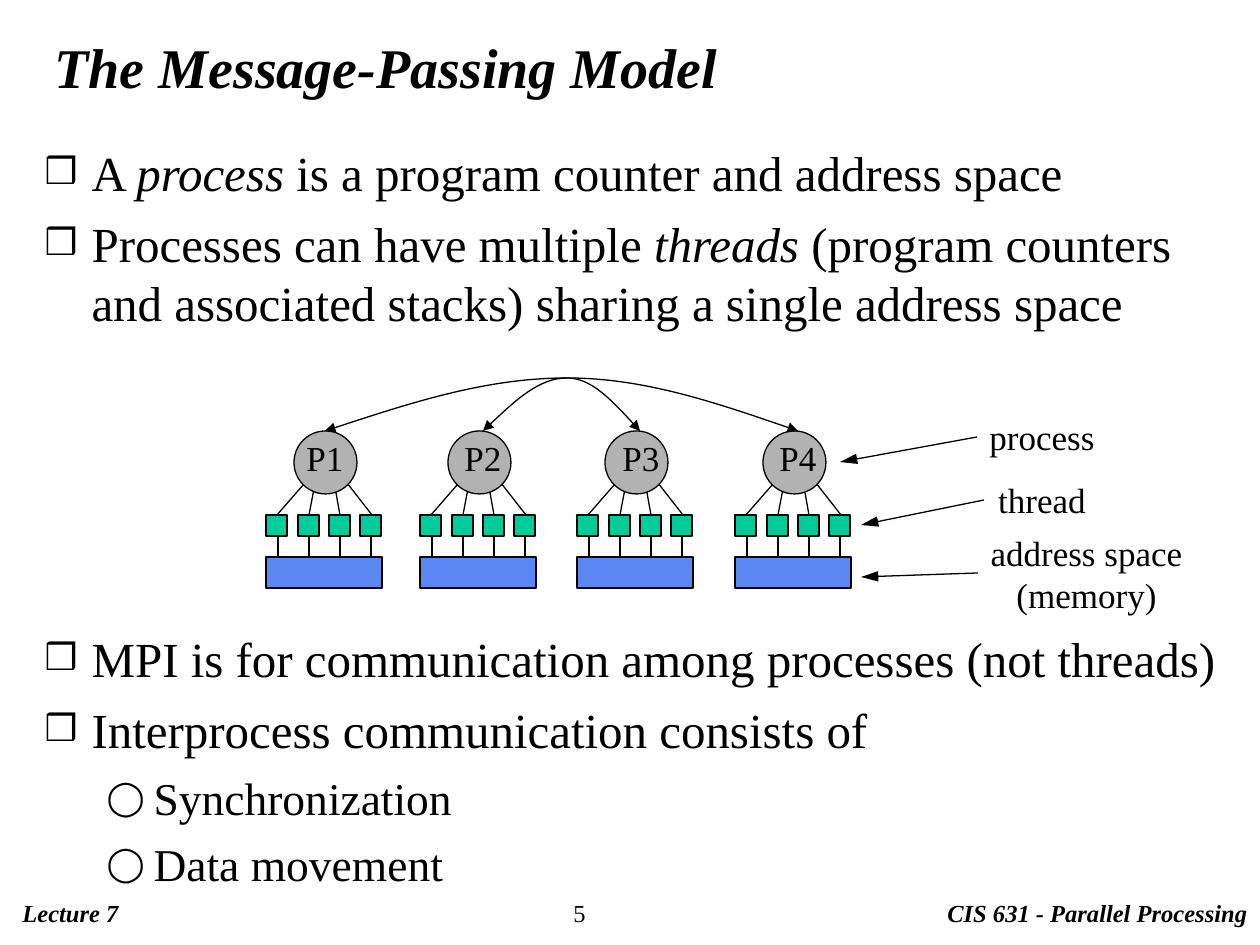
"""Build the slide on the message-passing model."""
from dataclasses import dataclass
from typing import Optional

from lxml import etree
from pptx import Presentation
from pptx.dml.color import RGBColor
from pptx.enum.shapes import MSO_CONNECTOR, MSO_SHAPE
from pptx.enum.text import MSO_ANCHOR, MSO_AUTO_SIZE, PP_ALIGN
from pptx.oxml.ns import qn
from pptx.util import Pt

PX = 914400 / 126
FONT = "Times New Roman"
BLACK, GRAY, GREEN, BLUE = "000000", "B2B2B2", "00CC99", "5B87F2"
STRAIGHT = MSO_CONNECTOR.STRAIGHT
OVAL, RECTANGLE = MSO_SHAPE.OVAL, MSO_SHAPE.RECTANGLE
LEFT, CENTER = PP_ALIGN.LEFT, PP_ALIGN.CENTER
MIDDLE, TOP = MSO_ANCHOR.MIDDLE, MSO_ANCHOR.TOP
NO_AUTOFIT, GROW = MSO_AUTO_SIZE.NONE, MSO_AUTO_SIZE.SHAPE_TO_FIT_TEXT

ARC_TOP, CIRCLE_TOP, THREAD_TOP, MEMORY_TOP = 378, 431, 515, 557
THREAD_SIZE = 21


@dataclass
class Label:
    text: str
    box: tuple[int, int, int, int]
    size: int = 20
    align: PP_ALIGN = CENTER
    bold_italic: bool = False
    wrap: bool = False


@dataclass
class Process:
    name: str
    left: int
    name_left: int


@dataclass
class Arc:
    right: int
    left: int
    middle: int = 567


@dataclass
class Point:
    """A list entry whose odd-numbered pieces are italic."""
    pieces: tuple[str, ...]
    level: int = 0
    space_before: Optional[float] = None


@dataclass
class ListLevel:
    bullet: str
    size: int
    space_before: float
    margin: int
    indent: int


LEVELS = [ListLevel("❒", 28, 7, 47, -47), ListLevel("◯", 26, 6.5, 109, -47)]
POINTS = [
    Point(("A ", "process", " is a program counter and address space")),
    Point(("Processes can have multiple ", "threads",
           " (program counters and associated stacks) sharing a single address space")),
    Point(("MPI is for communication among processes (not threads)",), space_before=170),
    Point(("Interprocess communication consists of",)),
    Point(("Synchronization",), level=1),
    Point(("Data movement",), level=1),
]
PROCESSES = [
    Process("P1", 266, 294),
    Process("P2", 420, 452),
    Process("P3", 577, 610),
    Process("P4", 735, 767),
]
ARCS = [Arc(798, 325), Arc(640, 483)]
LABELS = [
    Label("process", (975, 409, 134, 55)),
    Label("thread", (982, 472, 120, 55)),
    Label("address space\n(memory)", (976, 525, 221, 97)),
    Label("CIS 631 - Parallel Processing", (935, 892, 325, 43), 14, LEFT, True),
    Label("Lecture 7", (10, 892, 925, 43), 14, LEFT, True, True),
    Label("5", (561, 892, 127, 43), 14, LEFT, wrap=True),
]
POINTERS = [
    ((977, 437), (840, 462)),
    ((984, 500), (861, 525)),
    ((978, 573), (861, 577)),
]


def emu(*lengths: float) -> list[int]:
    """Turn px lengths into EMU."""
    return [round(length * PX) for length in lengths]


def color(value: str) -> RGBColor:
    """Turn a hex string into a colour."""
    return RGBColor.from_string(value)


def style_font(font, size: int, bold: bool = False, italic: bool = False) -> None:
    """Apply the slide's typeface in black."""
    font.name, font.size, font.bold, font.italic = FONT, Pt(size), bold, italic
    font.color.rgb = color(BLACK)


def style_line(line) -> None:
    """Give an outline its thin black stroke."""
    line.color.rgb = color(BLACK)
    line.width = Pt(0.75)


def add_arrowheads(line, *ends: str, length: str = "med") -> None:
    """Put a triangle on each named line end."""
    for end in ends:
        etree.SubElement(line._get_or_add_ln(), qn(f"a:{end}"), type="triangle", len=length)


def draw_line(shapes, start: tuple[int, int], end: tuple[int, int]):
    """Draw a straight connector without a shadow."""
    connector = shapes.add_connector(STRAIGHT, *emu(*start, *end))
    style_line(connector.line)
    etree.SubElement(connector._element.spPr, qn("a:effectLst"))
    return connector


def draw_shape(shapes, kind: MSO_SHAPE, box: tuple[int, int, int, int], fill: str) -> None:
    """Draw a filled preset shape."""
    shape = shapes.add_shape(kind, *emu(*box))
    shape.shadow.inherit = False
    shape.fill.solid()
    shape.fill.fore_color.rgb = color(fill)
    style_line(shape.line)


def draw_label(shapes, label: Label) -> None:
    """Write a label in its own text box."""
    frame = shapes.add_textbox(*emu(*label.box)).text_frame
    frame.word_wrap, frame.auto_size = label.wrap, GROW
    if label.align == LEFT:
        frame.margin_right = 0
    paragraph = frame.paragraphs[0]
    paragraph.text = label.text
    paragraph.alignment = label.align
    for run in paragraph.runs:
        style_font(run.font, label.size, label.bold_italic, label.bold_italic)


def draw_process(shapes, process: Process) -> None:
    """Draw a process with its threads and address space as a group."""
    parts = shapes.add_group_shape().shapes
    x = process.left
    spokes = [(59, CIRCLE_TOP, 43), (59, CIRCLE_TOP, 74), (38, 484, 11), (81, 483, 106)]
    for start, top, end in spokes:
        draw_line(parts, (x + start, top), (x + end, THREAD_TOP))
    for i in range(4):
        draw_shape(parts, RECTANGLE,
                   (x + round(31.5 * i), THREAD_TOP, THREAD_SIZE, THREAD_SIZE), GREEN)
    draw_shape(parts, OVAL, (x + 28, CIRCLE_TOP, 63, 63), GRAY)
    draw_shape(parts, RECTANGLE, (x, MEMORY_TOP, 116, 31), BLUE)
    for i in range(4):
        link = x + 12 + 31 * i
        draw_line(parts, (link, THREAD_TOP + THREAD_SIZE), (link, MEMORY_TOP))


def draw_arc(shapes, arc: Arc) -> None:
    """Draw a two-headed curve with control points at thirds of each half."""
    rise = (ARC_TOP + CIRCLE_TOP) / 2
    right, left = (arc.right - arc.middle) / 3, (arc.middle - arc.left) / 3
    controls = [
        (arc.middle + 2 * right, rise), (arc.middle + right, ARC_TOP), (arc.middle, ARC_TOP),
        (arc.middle - left, ARC_TOP), (arc.middle - 2 * left, rise), (arc.left, CIRCLE_TOP),
    ]
    builder = shapes.build_freeform(*emu(arc.right, CIRCLE_TOP))
    builder.add_line_segments([tuple(emu(*point)) for point in controls], close=False)
    curve = builder.convert_to_shape()
    segments = list(curve._element.iter(qn("a:lnTo")))
    outline = segments[0].getparent()
    for first in range(0, len(segments), 3):
        bezier = etree.SubElement(outline, qn("a:cubicBezTo"))
        for segment in segments[first:first + 3]:
            bezier.append(segment[0])
            outline.remove(segment)
    curve.shadow.inherit = False
    curve.fill.background()
    style_line(curve.line)
    add_arrowheads(curve.line, "headEnd", "tailEnd")


def place(holder, box: tuple[int, int, int, int], anchor: MSO_ANCHOR):
    """Move a placeholder and return its text frame."""
    holder.left, holder.top, holder.width, holder.height = emu(*box)
    frame = holder.text_frame
    frame.auto_size, frame.vertical_anchor, frame.word_wrap = NO_AUTOFIT, anchor, True
    return frame


def write_point(paragraph, point: Point) -> None:
    """Write a bulleted list entry."""
    level = LEVELS[point.level]
    paragraph.level = point.level
    paragraph.alignment = LEFT
    paragraph.space_before = Pt(point.space_before or level.space_before)
    for i, piece in enumerate(point.pieces):
        run = paragraph.add_run()
        run.text = piece
        style_font(run.font, level.size, italic=i % 2 == 1)
    properties = paragraph._p.get_or_add_pPr()
    margin, indent = emu(level.margin, level.indent)
    properties.set("marL", str(margin))
    properties.set("indent", str(indent))
    bullet_color = etree.SubElement(properties, qn("a:buClr"))
    etree.SubElement(bullet_color, qn("a:srgbClr"), val=BLACK)
    etree.SubElement(properties, qn("a:buSzPct"), val="75000")
    etree.SubElement(properties, qn("a:buChar"), char=level.bullet)


def main() -> None:
    """Build and save the slide."""
    deck = Presentation()
    deck.slide_width, deck.slide_height = emu(1260, 945)
    slide = deck.slides.add_slide(deck.slide_layouts[1])
    shapes = slide.shapes
    title = place(shapes.title, (42, 35, 1187, 63), MIDDLE)
    title.text = "The Message-Passing Model"
    title.paragraphs[0].alignment = LEFT
    style_font(title.paragraphs[0].runs[0].font, 32, True, True)
    body = place(slide.placeholders[1], (32, 136, 1207, 777), TOP)
    for i, point in enumerate(POINTS):
        write_point(body.add_paragraph() if i else body.paragraphs[0], point)
    for process in PROCESSES:
        draw_process(shapes, process)
    for arc in ARCS:
        draw_arc(shapes, arc)
    for process in PROCESSES:
        draw_label(shapes, Label(process.name, (process.name_left, CIRCLE_TOP - 1, 62, 55)))
    for label in LABELS:
        draw_label(shapes, label)
    for start, end in POINTERS:
        add_arrowheads(draw_line(shapes, start, end).line, "tailEnd", length="lg")
    deck.save("out.pptx")


if __name__ == "__main__":
    main()
